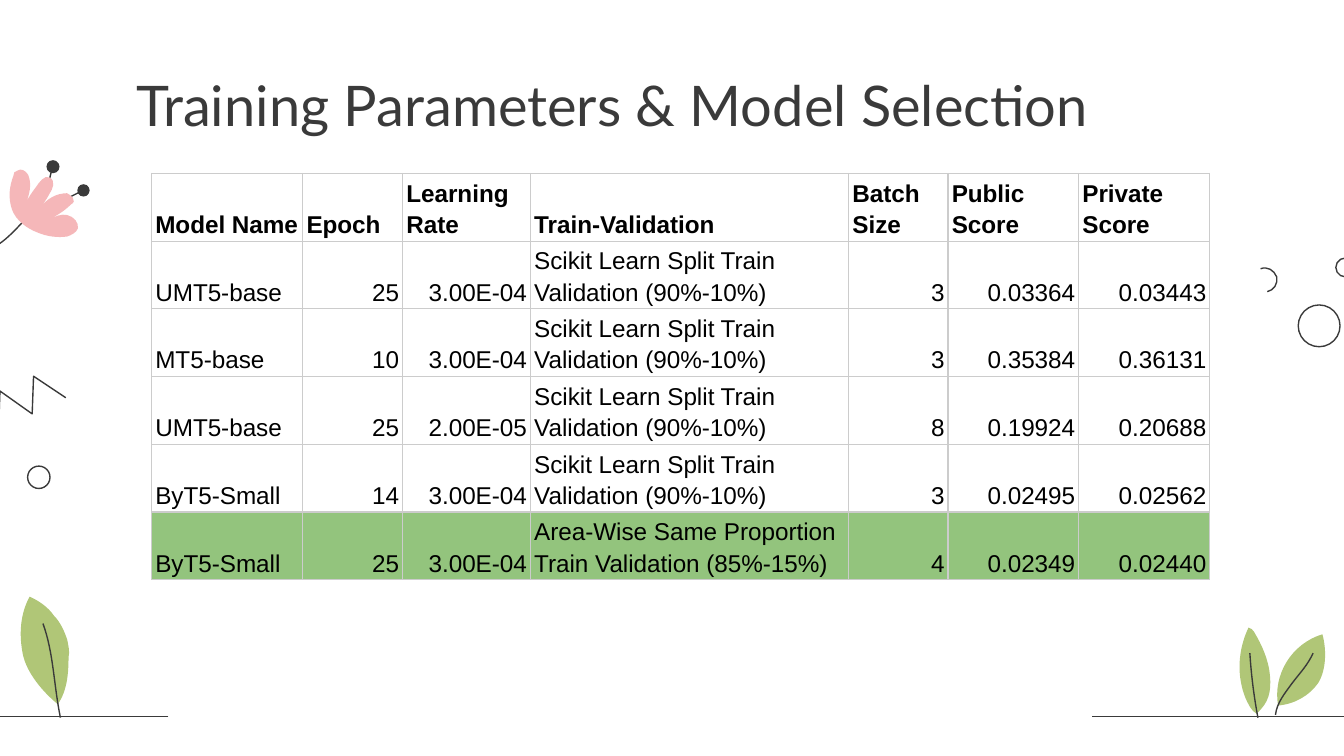
from lxml import etree
from pptx import Presentation
from pptx.dml.color import RGBColor
from pptx.enum.shapes import MSO_CONNECTOR, MSO_SHAPE
from pptx.enum.text import MSO_ANCHOR, PP_ALIGN
from pptx.oxml.ns import qn
from pptx.util import Pt

INK = RGBColor(0x3A, 0x3A, 0x3A)
PINK = RGBColor(0xF5, 0xB7, 0xB9)
LEAF = RGBColor(0xB0, 0xC6, 0x77)
BLACK = RGBColor(0, 0, 0)
GRID = RGBColor(0xCC, 0xCC, 0xCC)
HIGHLIGHT = RGBColor(0x93, 0xC4, 0x7D)

OVAL = MSO_SHAPE.OVAL
STRAIGHT = MSO_CONNECTOR.STRAIGHT
TOP, BOTTOM = MSO_ANCHOR.TOP, MSO_ANCHOR.BOTTOM
LEFT, RIGHT = PP_ALIGN.LEFT, PP_ALIGN.RIGHT

DRAWING_UNIT = 0.72  # points per unit of the botanical drawings

# Each curve is a start point followed by Bezier triples.
PETALS = [
    (10, 131), (10, 129), (11, 127), (13, 127), (16, 125), (19, 127), (21, 130),
    (24, 137), (22, 145), (19, 152), (21, 147), (24, 143), (27, 139),
    (29, 136), (33, 130), (37, 132), (42, 135), (39, 141), (37, 144),
    (35, 148), (32, 152), (29, 156), (33, 150), (39, 145), (47, 144),
    (49, 143), (51, 144), (52, 145), (54, 146), (55, 148), (55, 150),
    (54, 151), (54, 152), (53, 152), (48, 157), (43, 160), (37, 163),
    (41, 161), (46, 159), (50, 160), (55, 161), (59, 166), (58, 170),
    (57, 173), (53, 175), (50, 176), (43, 177), (35, 176), (28, 173),
    (20, 170), (12, 164), (9, 156), (6, 147), (7, 139), (10, 131),
]
FLOWER_STEMS = [
    [(22, 160), (16, 166), (10, 173), (4, 178), (-2, 183), (-10, 188), (-18, 189)],
    [(63, 141), (50, 148), (37, 154), (23, 158)],
    [(39, 124), (37, 134), (34, 144), (29, 153)],
]
LEAVES = [
    [(935, 531), (931, 529), (929, 524), (927, 520), (920, 503), (921, 484), (929, 467),
     (931, 467), (932, 469), (933, 470), (939, 480), (944, 491), (945, 503),
     (946, 515), (944, 523), (935, 531)],
    [(984, 472), (961, 479), (947, 502), (951, 525), (963, 524), (974, 518), (981, 508),
     (987, 498), (987, 483), (984, 472)],
    [(43, 524), (50, 514), (51, 501), (51, 489), (52, 485), (51, 481), (50, 476),
     (48, 470), (45, 463), (40, 458), (36, 452), (29, 447), (22, 444),
     (15, 457), (14, 472), (17, 487), (20, 501), (32, 515), (43, 524)],
]
LEAF_VEINS = [
    [(977, 486), (973, 495), (967, 501), (961, 509), (956, 516), (950, 523), (949, 532)],
    [(936, 534), (933, 518), (931, 502), (930, 486)],
    [(45, 534), (40, 510), (40, 486), (32, 464)],
]
ARC = [(943, 217), (948, 216), (951, 211), (950, 206), (948, 201), (943, 198), (938, 200)]
ZIGZAG = [(49, 296), (25, 280), (24, 308), (0, 291), (-1, 320), (-25, 303)]

COLUMN_WIDTHS = [81, 53.5, 68.5, 170.5, 53.25, 70, 70.25]
TEXT_COLUMNS = (0, 3)
RANDOM_SPLIT = "Scikit Learn Split Train Validation (90%-10%)"
AREA_SPLIT = "Area-Wise Same Proportion Train Validation (85%-15%)"
ROWS = [
    ["Model Name", "Epoch", "Learning Rate", "Train-Validation",
     "Batch Size", "Public Score", "Private Score"],
    ["UMT5-base", "25", "3.00E-04", RANDOM_SPLIT, "3", "0.03364", "0.03443"],
    ["MT5-base", "10", "3.00E-04", RANDOM_SPLIT, "3", "0.35384", "0.36131"],
    ["UMT5-base", "25", "2.00E-05", RANDOM_SPLIT, "8", "0.19924", "0.20688"],
    ["ByT5-Small", "14", "3.00E-04", RANDOM_SPLIT, "3", "0.02495", "0.02562"],
    ["ByT5-Small", "25", "3.00E-04", AREA_SPLIT, "4", "0.02349", "0.02440"],
]


class SlideBuilder:
    def __init__(self, slide, line_width=0.75):
        self.shapes = slide.shapes
        self.line_width = Pt(line_width)

    def paint(self, shape, fill):
        """Fill the shape, or outline it in ink when there is no fill."""
        shape.shadow.inherit = False
        if fill is None:
            shape.fill.background()
            shape.line.color.rgb = INK
            shape.line.width = self.line_width
        else:
            shape.fill.solid()
            shape.fill.fore_color.rgb = fill
            shape.line.fill.background()

    def outline(self, points, fill=None):
        start, *others = [tuple(Pt(DRAWING_UNIT * value) for value in point)
                          for point in points]
        builder = self.shapes.build_freeform(*start)
        builder.add_line_segments(others, close=fill is not None)
        shape = builder.convert_to_shape()
        self.paint(shape, fill)
        return shape

    def curve(self, points, fill=None):
        """Draw an outline whose segments, three by three, become Bezier curves."""
        shape = self.outline(points, fill)
        segments = list(shape._element.iter(qn("a:lnTo")))
        for first in range(0, len(segments), 3):
            bezier = etree.Element(qn("a:cubicBezTo"))
            segments[first].addprevious(bezier)
            for segment in segments[first:first + 3]:
                bezier.append(segment[0])
                segment.getparent().remove(segment)

    def circle(self, center_x, center_y, diameter, fill=None):
        shape = self.shapes.add_shape(
            OVAL, Pt(center_x - diameter / 2), Pt(center_y - diameter / 2),
            Pt(diameter), Pt(diameter))
        self.paint(shape, fill)

    def ground(self, left, right, y):
        connector = self.shapes.add_connector(STRAIGHT, Pt(left), Pt(y), Pt(right), Pt(y))
        connector.line.color.rgb = INK
        connector.line.width = self.line_width
        etree.SubElement(connector._element.spPr, qn("a:effectLst"))

    def title(self, text, left, top, width, height):
        frame = self.shapes.add_textbox(Pt(left), Pt(top), Pt(width), Pt(height)).text_frame
        frame.word_wrap = True
        frame.vertical_anchor = TOP
        frame.margin_left = frame.margin_right = Pt(7.2)
        frame.margin_top = frame.margin_bottom = Pt(7.2)
        paragraph = frame.paragraphs[0]
        paragraph.text = text
        self.style_font(paragraph.font, "Lato", 30, INK)

    def style_font(self, font, name, size, color, bold=False):
        font.name = name
        font.size = Pt(size)
        font.color.rgb = color
        font.bold = bold

    def table(self, rows, left, top, row_height):
        table = self.shapes.add_table(
            len(rows), len(COLUMN_WIDTHS), Pt(left), Pt(top),
            Pt(sum(COLUMN_WIDTHS)), Pt(row_height * len(rows))).table
        table.first_row = table.horz_banding = False
        for column, width in zip(table.columns, COLUMN_WIDTHS):
            column.width = Pt(width)
        for row_index, row in enumerate(rows):
            for column_index, text in enumerate(row):
                is_header = row_index == 0
                is_text = is_header or column_index in TEXT_COLUMNS
                fill = HIGHLIGHT if row_index == len(rows) - 1 else None
                self.cell(table.cell(row_index, column_index), text,
                          LEFT if is_text else RIGHT, is_header, fill)

    def cell(self, cell, text, alignment, bold, fill):
        cell.vertical_anchor = BOTTOM
        cell.margin_left = cell.margin_right = Pt(2)
        cell.margin_top = cell.margin_bottom = Pt(1.4)
        paragraph = cell.text_frame.paragraphs[0]
        paragraph.text = text
        paragraph.alignment = alignment
        paragraph.line_spacing = Pt(16.7)
        self.style_font(paragraph.font, "Arial", 13, BLACK, bold)
        properties = cell._tc.get_or_add_tcPr()
        for side in ("a:lnL", "a:lnR", "a:lnT", "a:lnB"):
            border = etree.SubElement(properties, qn(side), w=str(self.line_width))
            solid = etree.SubElement(border, qn("a:solidFill"))
            etree.SubElement(solid, qn("a:srgbClr"), val=str(GRID))
        if fill is None:
            cell.fill.background()
        else:
            cell.fill.solid()
            cell.fill.fore_color.rgb = fill


def main():
    presentation = Presentation()
    presentation.slide_width, presentation.slide_height = Pt(720), Pt(405)
    builder = SlideBuilder(presentation.slides.add_slide(presentation.slide_layouts[6]))

    builder.circle(20.8, 255.7, 12)
    builder.circle(706.7, 174.6, 22.4)
    builder.circle(720.7, 143.3, 10.1)
    builder.outline(ZIGZAG)
    builder.curve(ARC)

    for stem in FLOWER_STEMS:
        builder.curve(stem)
    builder.circle(44.7, 102, 6.6, INK)
    builder.circle(28.4, 89.3, 7, INK)
    builder.curve(PETALS, PINK)

    builder.ground(728, 585.25, 384)
    builder.ground(90.25, -6, 384)
    for leaf in LEAVES:
        builder.curve(leaf, LEAF)
    for vein in LEAF_VEINS:
        builder.curve(vein)

    builder.title("Training Parameters & Model Selection", 66, 30.6, 693, 45.25)
    builder.table(ROWS, 81.25, 92.9, 36.3)
    presentation.save("out.pptx")


if __name__ == "__main__":
    main()
